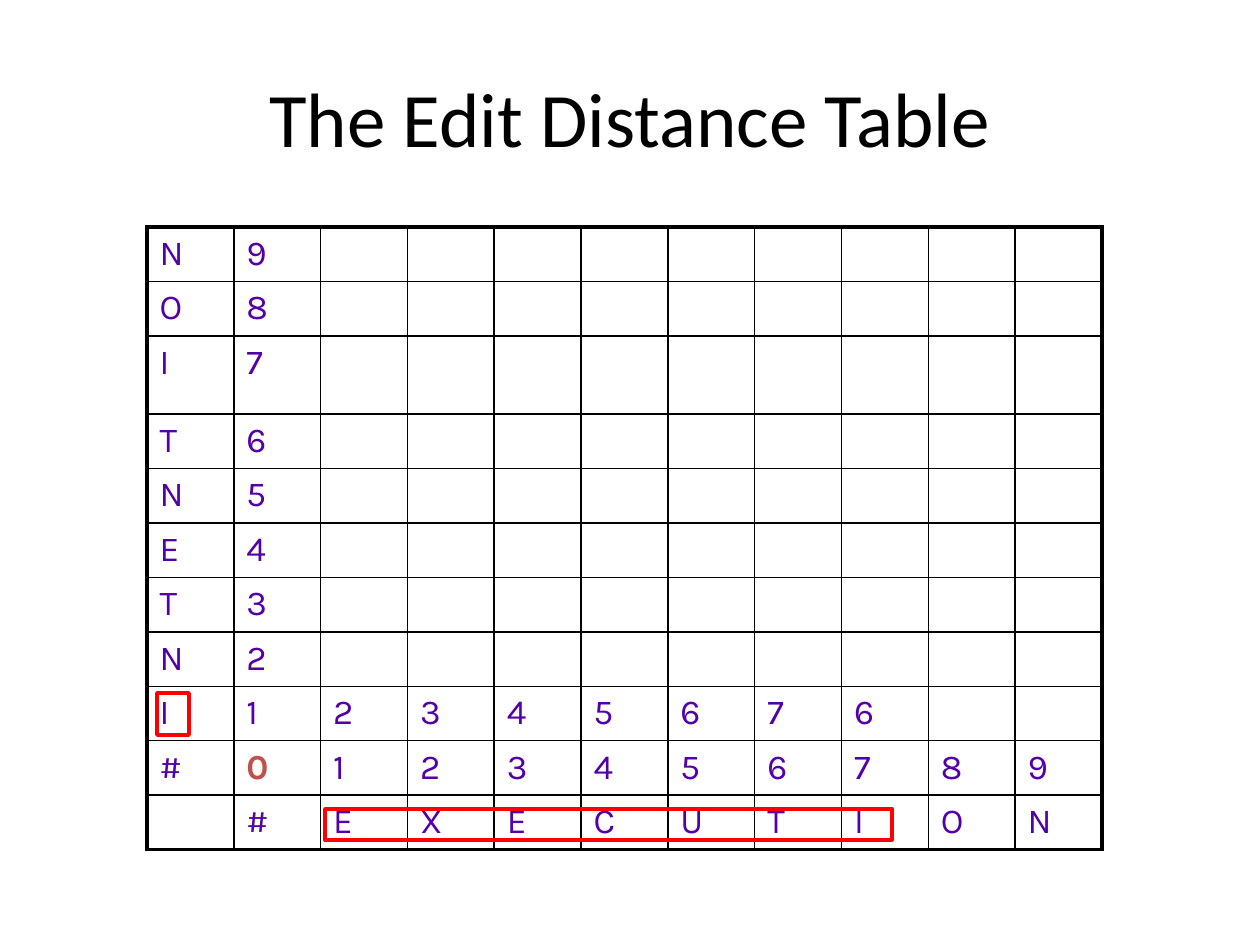
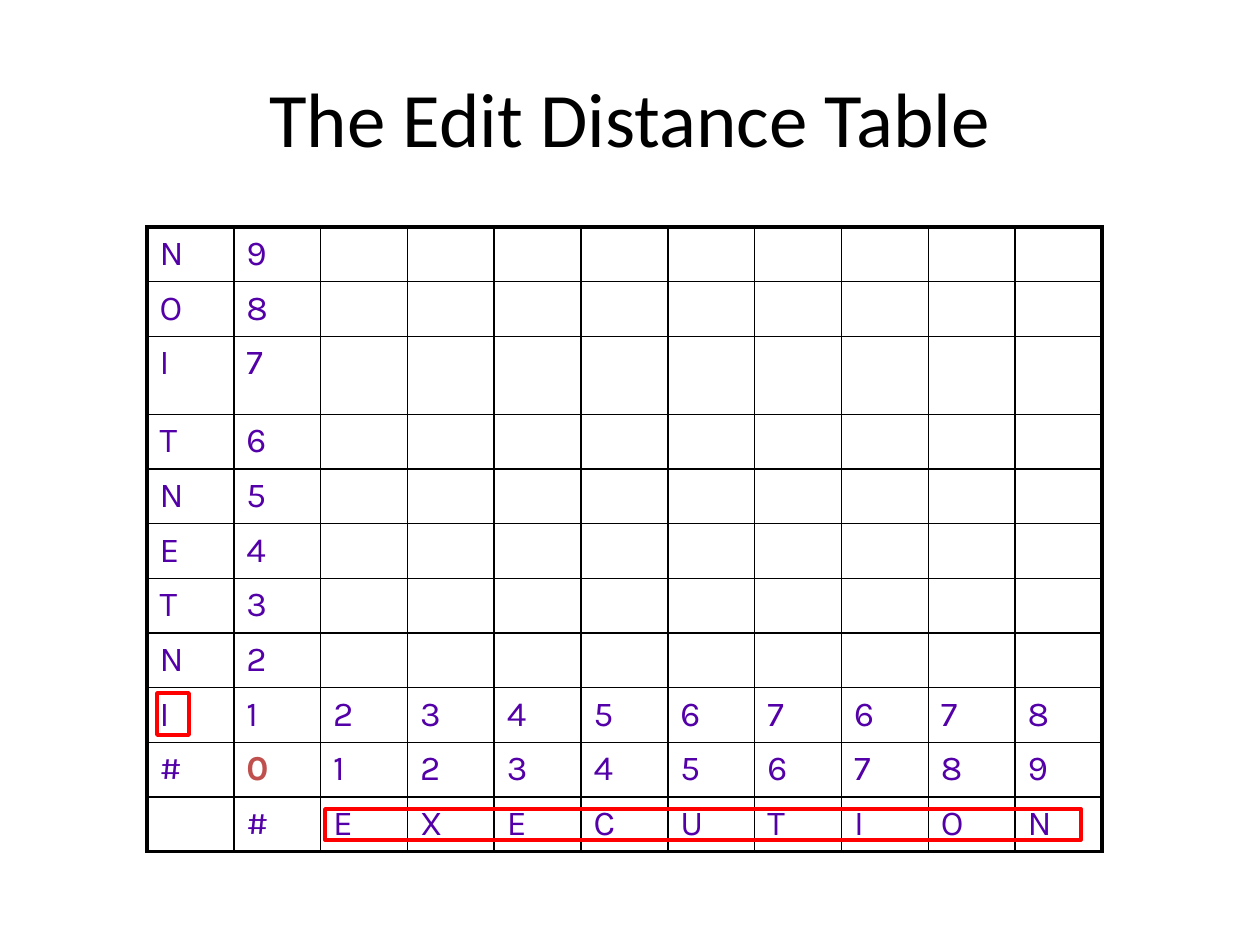
from lxml import etree
from pptx import Presentation
from pptx.dml.color import RGBColor
from pptx.enum.shapes import MSO_SHAPE
from pptx.enum.text import MSO_ANCHOR, PP_ALIGN
from pptx.oxml.ns import qn
from pptx.util import Pt

RECTANGLE = MSO_SHAPE.RECTANGLE
MIDDLE = MSO_ANCHOR.MIDDLE
CENTER = PP_ALIGN.CENTER

EMU_PER_PIXEL = 914400 / 126
SLIDE_SIZE = (1260, 945)
TITLE_BOX = (63, 38, 1134, 157)
TABLE_BOX = (147, 227, 955, 623)
TALL_ROW = 2
TALL_ROW_HEIGHT = 78

BLACK = "000000"
RED = "FF0000"
PURPLE = "5400A8"
BRICK = "C0504D"

TITLE_FORMAT = {"name": "Calibri", "size": Pt(44), "bold": False}
CELL_FORMAT = {"name": "Karla", "size": Pt(20), "bold": False}
ORIGIN_FORMAT = CELL_FORMAT | {"bold": True}
OUTER_BORDER = Pt(2.25)
INNER_BORDER = Pt(1)

SOURCE_WORD = "INTENTION"
TARGET_WORD = "EXECUTION"
STEPS = [
    {"first_row_distances": "2345676", "prefix_width": 567},
    {"first_row_distances": "234567678", "prefix_width": 756},
]


def emu(pixels):
    return round(pixels * EMU_PER_PIXEL)


def color(hex_string):
    return RGBColor.from_string(hex_string)


def format_text(paragraph, font_format, hex_string):
    for name, value in font_format.items():
        setattr(paragraph.font, name, value)
    paragraph.font.color.rgb = color(hex_string)


def add_title(slide, box):
    shape = slide.shapes.add_textbox(*map(emu, box))
    frame = shape.text_frame
    frame.word_wrap = True
    frame.vertical_anchor = MIDDLE
    frame.text = "The Edit Distance Table"
    paragraph = frame.paragraphs[0]
    paragraph.alignment = CENTER
    format_text(paragraph, TITLE_FORMAT, BLACK)


def distance_grid(first_row_distances):
    numbered = list(enumerate(SOURCE_WORD, 1))
    grid = [[letter, str(number)] for number, letter in reversed(numbered)]
    grid[-1].extend(first_row_distances)
    grid.append(["#", *map(str, range(len(TARGET_WORD) + 1))])
    grid.append(["", "#", *TARGET_WORD])
    return grid


def set_border(cell, side, width):
    properties = cell._tc.get_or_add_tcPr()
    line = etree.SubElement(properties, qn(f"a:ln{side}"), w=str(width))
    fill = etree.SubElement(line, qn("a:solidFill"))
    etree.SubElement(fill, qn("a:srgbClr"), val=BLACK)


def add_distance_table(slide, box, grid):
    row_count, column_count = len(grid), len(grid[-1])
    width, height = box[2:]
    table = slide.shapes.add_table(row_count, column_count, *map(emu, box)).table
    table.first_row = False
    table.horz_banding = False
    for column in table.columns:
        column.width = emu(width / column_count)
    for row in table.rows:
        row.height = emu((height - TALL_ROW_HEIGHT) / (row_count - 1))
    table.rows[TALL_ROW].height = emu(TALL_ROW_HEIGHT)

    for row_index in range(row_count):
        for column_index in range(column_count):
            cell = table.cell(row_index, column_index)
            outer_sides = {
                "L": column_index == 0,
                "R": column_index == column_count - 1,
                "T": row_index == 0,
                "B": row_index == row_count - 1,
            }
            for side, is_outer in outer_sides.items():
                set_border(cell, side, OUTER_BORDER if is_outer else INNER_BORDER)
            cell.fill.background()

    for row_index, texts in enumerate(grid):
        for column_index, text in enumerate(texts):
            if text:
                cell = table.cell(row_index, column_index)
                cell.text = text
                is_origin = text == "0"
                format_text(
                    cell.text_frame.paragraphs[0],
                    ORIGIN_FORMAT if is_origin else CELL_FORMAT,
                    BRICK if is_origin else PURPLE,
                )


def add_highlight(slide, box):
    shape = slide.shapes.add_shape(RECTANGLE, *map(emu, box))
    shape.shadow.inherit = False
    shape.fill.background()
    shape.line.color.rgb = color(RED)
    shape.line.width = Pt(2)


def add_prefix_highlights(slide, table_box, prefix_width):
    left, top = table_box[:2]
    add_highlight(slide, (left + 178, top + 582, prefix_width, 31))
    add_highlight(slide, (left + 10, top + 466, 32, 42))


def add_step_slide(presentation, first_row_distances, prefix_width):
    slide = presentation.slides.add_slide(presentation.slide_layouts[6])
    add_distance_table(slide, TABLE_BOX, distance_grid(first_row_distances))
    add_title(slide, TITLE_BOX)
    add_prefix_highlights(slide, TABLE_BOX, prefix_width)


def main():
    presentation = Presentation()
    presentation.slide_width, presentation.slide_height = map(emu, SLIDE_SIZE)
    for step in STEPS:
        add_step_slide(presentation, **step)
    presentation.save("out.pptx")


if __name__ == "__main__":
    main()
